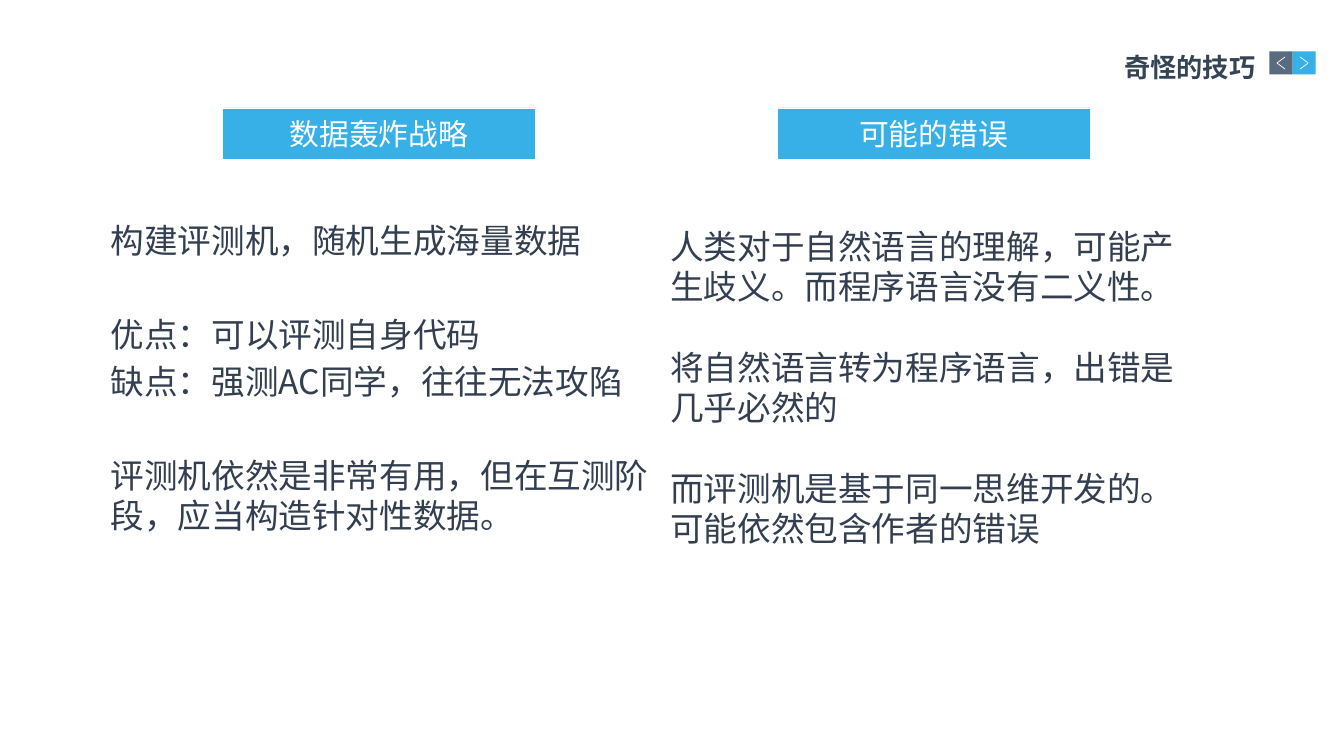
import pptx
import pptx.util
import pptx.dml.color
import pptx.enum.shapes
import pptx.enum.text
import pptx.oxml.ns
import lxml.etree

Inches = pptx.util.Inches
Pt = pptx.util.Pt
RGBColor = pptx.dml.color.RGBColor
Shape = pptx.enum.shapes.MSO_SHAPE
Align = pptx.enum.text.PP_ALIGN
Anchor = pptx.enum.text.MSO_ANCHOR
Fit = pptx.enum.text.MSO_AUTO_SIZE

TITLE = "奇怪的技巧"
COLUMNS = [
    dict(
        head="数据轰炸战略", left=2.21, box=(1, 2.13, 5.53, 4.3), fit=Fit.NONE,
        body=["构建评测机，随机生成海量数据",
              "优点：可以评测自身代码",
              "缺点：强测AC同学，往往无法攻陷",
              "评测机依然是非常有用，但在互测阶段，应当构造针对性数据。"],
        gaps=[0, 38.4, 4.8, 38.4]),
    dict(
        head="可能的错误", left=7.71, box=(6.55, 2.19, 5.42, 3.33),
        fit=Fit.SHAPE_TO_FIT_TEXT,
        body=["人类对于自然语言的理解，可能产生歧义。而程序语言没有二义性。",
              "将自然语言转为程序语言，出错是几乎必然的",
              "而评测机是基于同一思维开发的。可能依然包含作者的错误"],
        gaps=[0, 28.8, 28.8]),
]

BLUE = RGBColor(0x37, 0xB0, 0xE8)
SLATE = RGBColor(0x58, 0x6B, 0x7F)
NAVY = RGBColor(0x35, 0x44, 0x54)
INK = RGBColor(0x33, 0x3F, 0x50)
WHITE = RGBColor(0xFF, 0xFF, 0xFF)
SANS = "Noto Sans CJK SC"
ROBOTO = "Roboto Condensed"

BUTTONS = [(SLATE, -1), (BLUE, 1)]
SIDE = 0.23
START = (12.59, 0.51)
ARROW = (0.08, 0.12)


def write(frame, lines, gaps=(0,), size=24, face=SANS, color=INK,
          bold=False, align=Align.LEFT, space=None):
    frame.word_wrap = True
    for i, (line, gap) in enumerate(zip(lines, gaps)):
        para = frame.add_paragraph() if i else frame.paragraphs[0]
        para.alignment = align
        para.space_before = Pt(gap)
        if space:
            para.line_spacing = space
        run = para.add_run()
        run.text = line
        font = run.font
        font.size = Pt(size)
        font.bold = bold
        font.name = face
        font.color.rgb = color
        east = lxml.etree.SubElement(run._r.get_or_add_rPr(),
                                     pptx.oxml.ns.qn("a:ea"))
        east.set("typeface", SANS)


def block(slide, kind, box, fill):
    shape = slide.shapes.add_shape(kind, *map(Inches, box))
    shape.shadow.inherit = False
    shape.fill.solid()
    shape.fill.fore_color.rgb = fill
    shape.line.fill.background()
    return shape


def edge(shape):
    shape.line.color.rgb = WHITE
    shape.line.width = Pt(0.5)


def button(slide, x, y, fill, way):
    block(slide, Shape.RECTANGLE, (x, y, SIDE, SIDE), fill)
    wide, high = ARROW
    mid_x, mid_y = x + SIDE / 2, y + SIDE / 2
    back, tip = mid_x - way * wide / 2, mid_x + way * wide / 2
    points = [(back, mid_y - high / 2), (tip, mid_y), (back, mid_y + high / 2)]
    points = [(Inches(px), Inches(py)) for px, py in points]
    pen = slide.shapes.build_freeform(*points[0])
    pen.add_line_segments(points[1:], close=False)
    arrow = pen.convert_to_shape()
    arrow.shadow.inherit = False
    arrow.fill.background()
    edge(arrow)


def column(slide, part):
    head = block(slide, Shape.ROUNDED_RECTANGLE,
                 (part["left"], 1.07, 3.1, 0.51), BLUE)
    head.adjustments[0] = 0
    edge(head)
    head.text_frame.vertical_anchor = Anchor.MIDDLE
    write(head.text_frame, [part["head"]], size=21.3, face=ROBOTO,
          color=WHITE, align=Align.CENTER)
    frame = slide.shapes.add_textbox(*map(Inches, part["box"])).text_frame
    frame.auto_size = part["fit"]
    write(frame, part["body"], gaps=part["gaps"])


def title(slide):
    box = slide.shapes.add_textbox(*map(Inches, (8.56, 0.38, 3.89, 0.42)))
    frame = box.text_frame
    frame.margin_left = frame.margin_right = 0
    frame.margin_top = frame.margin_bottom = 0
    frame.vertical_anchor = Anchor.MIDDLE
    frame.auto_size = Fit.SHAPE_TO_FIT_TEXT
    write(frame, [TITLE], size=18.7, color=NAVY, bold=True,
          align=Align.RIGHT, space=1.5)


def main():
    deck = pptx.Presentation()
    deck.slide_width = Inches(13.33)
    deck.slide_height = Inches(7.5)
    slide = deck.slides.add_slide(deck.slide_layouts[6])
    for i, (fill, way) in enumerate(BUTTONS):
        button(slide, START[0] + i * SIDE, START[1], fill, way)
    title(slide)
    for part in COLUMNS:
        column(slide, part)
    deck.save("out.pptx")


if __name__ == "__main__":
    main()
